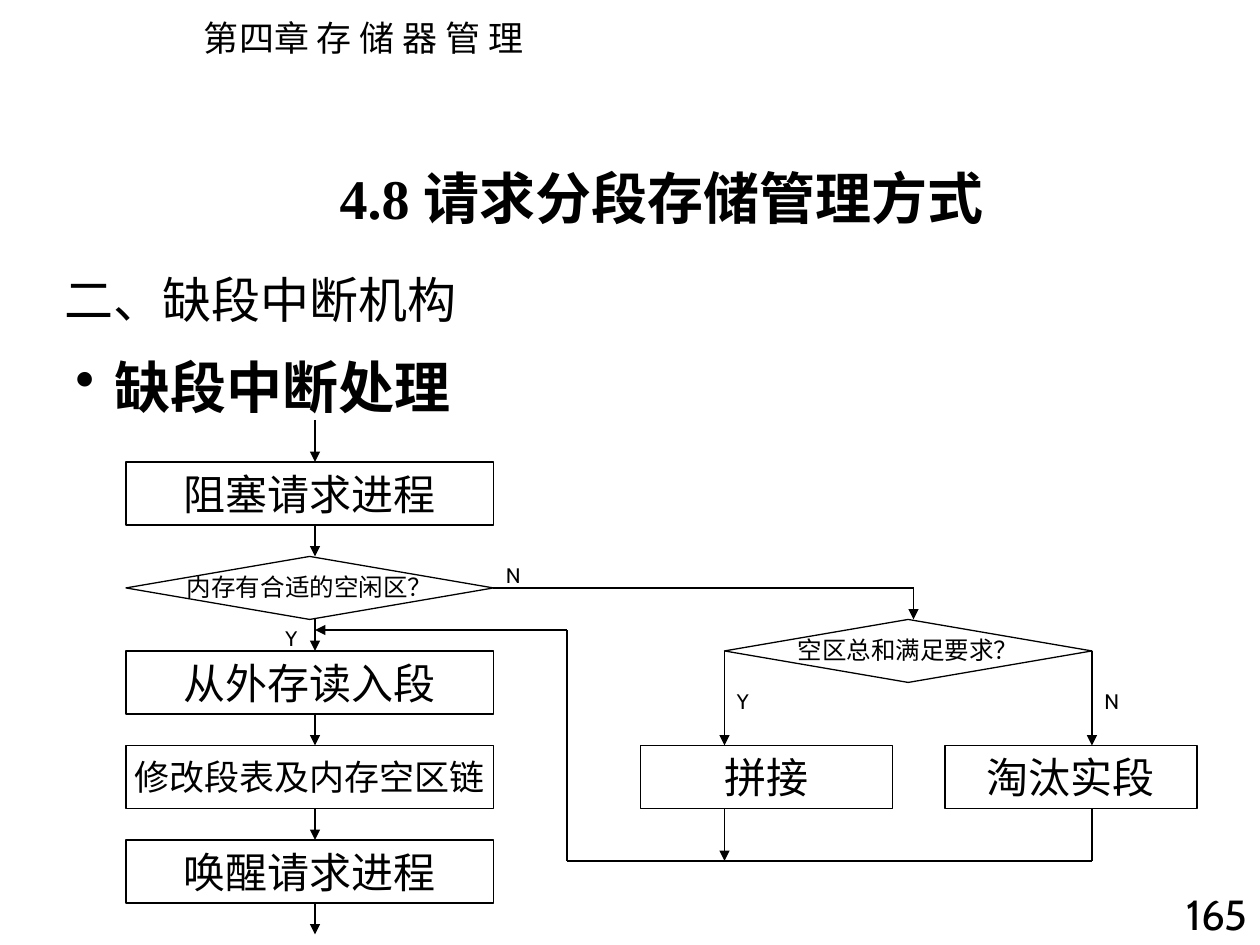
"""Build the slide on handling a missing-segment interrupt, with its flowchart."""
from lxml import etree
from pptx import Presentation
from pptx import util as u
from pptx.dml.color import RGBColor
from pptx.enum import shapes, text
from pptx.oxml import ns

COLORS = {"ink": "000000", "paper": "FFFFFF"}
CJK, LABEL, SERIF = "Noto Sans CJK SC", "Cabin", "Times New Roman"

CHAPTER = "第四章 存 储 器 管 理"
SECTION = "4.8 请求分段存储管理方式"
HEADING = "二、缺段中断机构"
TOPIC = "缺段中断处理"
PAGE = "165"
MAIN_STEPS = [
    ("阻塞请求进程", 24),
    ("内存有合适的空闲区？", 14),
    ("从外存读入段", 24),
    ("修改段表及内存空区链", 20),
    ("唤醒请求进程", 24),
]
SIDE_QUESTION = "空区总和满足要求？"
SIDE_STEPS = [("拼接", 366), ("淘汰实段", 540)]
ANSWERS = [("Y", 156, 354), ("N", 282, 318), ("Y", 414, 390), ("N", 624, 390)]

LEFT, TOP, WIDTH, HEIGHT, PITCH = 72, 264, 210, 36, 54
GAP = PITCH - HEIGHT
FLOW_X = 180
SIDE_LEFT, SIDE_TOP, SIDE_WIDTH = 414, 354, 144
SIDE_RIGHT = SIDE_LEFT + WIDTH
SIDE_STEP_TOP = TOP + 3 * PITCH
SIDE_STEP_BOTTOM = SIDE_STEP_TOP + HEIGHT
BRANCH_X, RETURN_X, RETURN_TOP, RETURN_BOTTOM = 522, 324, 360, 492


def color(name):
    return RGBColor.from_string(COLORS[name])


def style_text(shape, size, font, bold=False, align="LEFT", anchor="TOP", wrap=True):
    frame = shape.text_frame
    frame.word_wrap = wrap
    frame.vertical_anchor = getattr(text.MSO_ANCHOR, anchor)
    paragraph = frame.paragraphs[0]
    paragraph.alignment = getattr(text.PP_ALIGN, align)
    run_font = paragraph.runs[0].font
    run_font.size = u.Pt(size)
    run_font.name = font
    run_font.bold = bold
    run_font.color.rgb = color("ink")
    east_asian = etree.SubElement(run_font._element, ns.qn("a:ea"))
    east_asian.set("typeface", CJK)


def add_text(slide, content, box, size, font=CJK, **options):
    shape = slide.shapes.add_textbox(*map(u.Pt, box))
    shape.text_frame.text = content
    style_text(shape, size, font, **options)
    return shape


def add_node(slide, kind, box):
    shape = slide.shapes.add_shape(kind, *map(u.Pt, box))
    shape.shadow.inherit = False
    shape.fill.background()
    shape.line.color.rgb = color("ink")
    shape.line.width = u.Pt(0.75)
    return shape


def add_step(slide, content, box, size):
    shape = add_node(slide, shapes.MSO_SHAPE.RECTANGLE, box)
    shape.text_frame.text = content
    shape.text_frame.margin_left = shape.text_frame.margin_right = 0
    style_text(shape, size, LABEL, align="CENTER", anchor="MIDDLE")


def add_question(slide, content, left, top, size=14):
    add_text(slide, content, (left, top + 5.5, WIDTH, 24.5), size, LABEL, align="CENTER")
    return add_node(slide, shapes.MSO_SHAPE.DIAMOND, (left, top, WIDTH, HEIGHT))


def add_line(slide, start, end, arrow=True, source=None, side=0):
    line = slide.shapes.add_connector(
        shapes.MSO_CONNECTOR.STRAIGHT, *map(u.Pt, start + end))
    line.line.color.rgb = color("ink")
    line.line.width = u.Pt(0.75)
    if arrow:
        tail = etree.SubElement(line.line._get_or_add_ln(), ns.qn("a:tailEnd"))
        tail.set("type", "triangle")
    etree.SubElement(line._element.spPr, ns.qn("a:effectLst"))
    if source is not None:
        line.begin_connect(source, side)


def add_headings(slide):
    add_text(slide, CHAPTER, (109.5, 6, 202, 32), 20, wrap=False)
    add_text(slide, SECTION, (187, 90, 397.5, 46), 32, SERIF, bold=True, wrap=False)
    add_text(slide, HEADING, (30, 144, 642, 54), 28, anchor="MIDDLE")
    add_text(slide, PAGE, (666, 504, 54, 40), 24, LABEL, align="RIGHT")
    topic = add_text(slide, TOPIC, (36, 198, 672, 60), 32, bold=True)
    properties = topic.text_frame.paragraphs[0]._p.get_or_add_pPr()
    properties.set("marL", str(u.Pt(22.5)))
    properties.set("indent", str(u.Pt(-22.5)))
    etree.SubElement(properties, ns.qn("a:buChar")).set("char", "•")


def add_flowchart(slide):
    add_line(slide, (FLOW_X, 240), (FLOW_X, TOP))
    for row, (content, size) in enumerate(MAIN_STEPS):
        top = TOP + row * PITCH
        if content.endswith("？"):
            question = add_question(slide, content, LEFT, top, size)
        else:
            add_step(slide, content, (LEFT, top, WIDTH, HEIGHT), size)
        add_line(slide, (FLOW_X, top + HEIGHT), (FLOW_X, top + HEIGHT + GAP))

    side_question = add_question(slide, SIDE_QUESTION, SIDE_LEFT, SIDE_TOP)
    for content, left in SIDE_STEPS:
        add_step(slide, content, (left, SIDE_STEP_TOP, SIDE_WIDTH, HEIGHT), 24)
    for x, side in ((SIDE_LEFT, 1), (SIDE_RIGHT, 3)):
        add_line(slide, (x, SIDE_TOP + HEIGHT / 2), (x, SIDE_STEP_TOP),
                 source=side_question, side=side)

    branch_y = TOP + PITCH + HEIGHT / 2
    add_line(slide, (LEFT + WIDTH, branch_y), (BRANCH_X, branch_y), False, question, 3)
    add_line(slide, (BRANCH_X, branch_y), (BRANCH_X, SIDE_TOP))

    way_back = [(SIDE_RIGHT, SIDE_STEP_BOTTOM), (SIDE_RIGHT, RETURN_BOTTOM),
                (RETURN_X, RETURN_BOTTOM), (RETURN_X, RETURN_TOP), (FLOW_X, RETURN_TOP)]
    for start, end in zip(way_back, way_back[1:]):
        add_line(slide, start, end, arrow=end == way_back[-1])
    add_line(slide, (SIDE_LEFT, SIDE_STEP_BOTTOM), (SIDE_LEFT, RETURN_BOTTOM))

    for answer, left, top in ANSWERS:
        add_text(slide, answer, (left, top, 24, 21.5), 12, LABEL)


def main():
    presentation = Presentation()
    presentation.slide_width, presentation.slide_height = u.Pt(720), u.Pt(540)
    slide = presentation.slides.add_slide(presentation.slide_layouts[6])
    slide.background.fill.solid()
    slide.background.fill.fore_color.rgb = color("paper")
    add_headings(slide)
    add_flowchart(slide)
    presentation.save("out.pptx")


if __name__ == "__main__":
    main()
